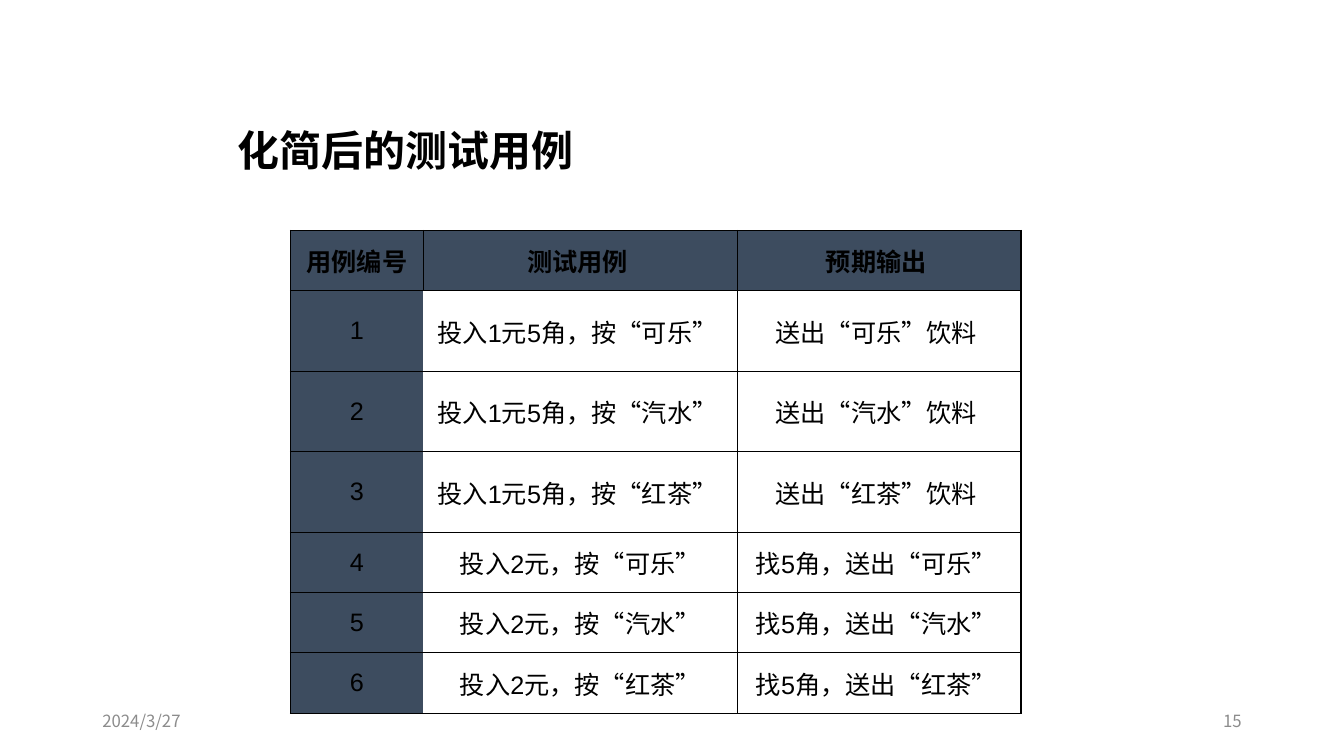
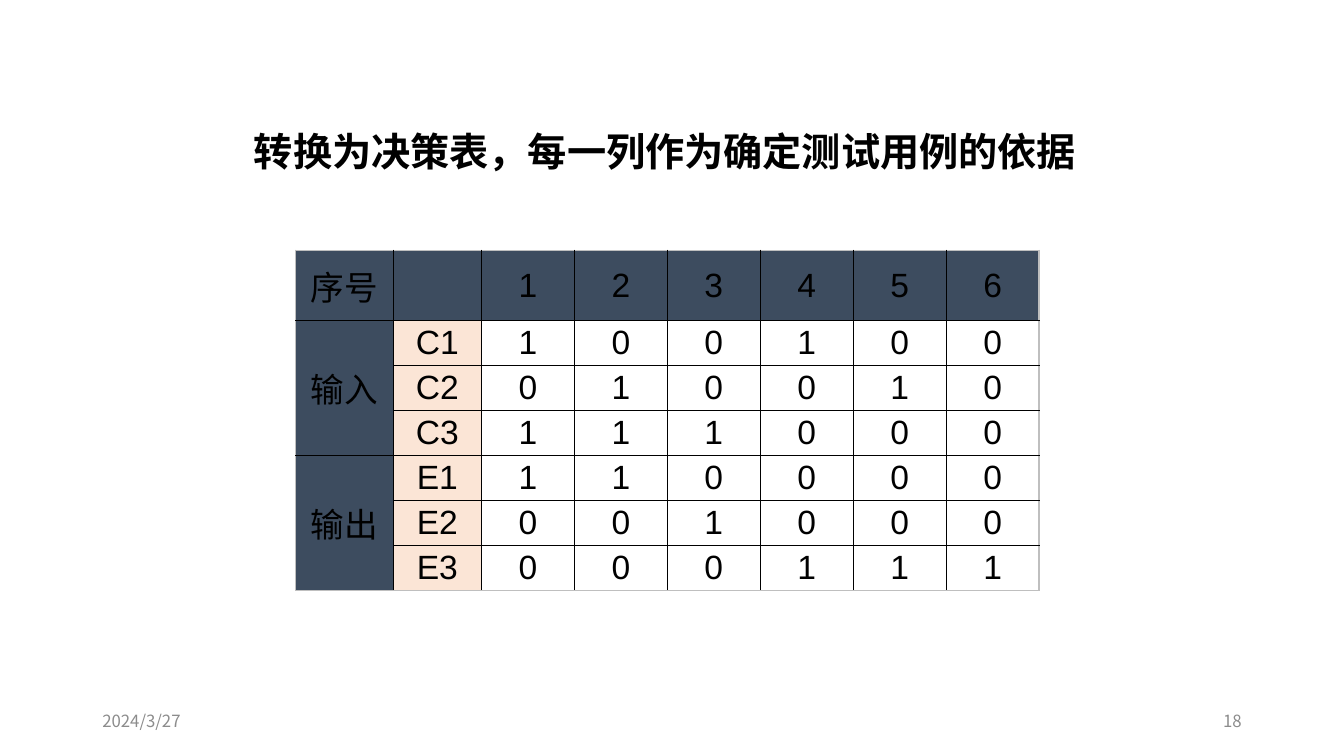
from lxml.etree import SubElement
from pptx import Presentation
from pptx.dml.color import RGBColor
from pptx.enum.lang import MSO_LANGUAGE_ID
from pptx.enum.text import MSO_ANCHOR, MSO_AUTO_SIZE, PP_ALIGN
from pptx.oxml.ns import qn
from pptx.util import Pt

LATIN, CJK = "Arial", "Noto Sans CJK SC"
BLACK, WHITE, SLATE, PEACH = "000000", "FFFFFF", "3D4C5F", "FBE5D6"
FOOTER_GREY, FRAME_GREY = "8C8C8C", "BFBFBF"
DATE = "2024/3/27"

CASES_TITLE = "化简后的测试用例"
CASES = [
    ("用例编号", "测试用例 ", "预期输出 "),
    ("1", "投入1元5角，按“可乐” ", "送出“可乐”饮料 "),
    ("2", "投入1元5角，按“汽水” ", "送出“汽水”饮料 "),
    ("3", "投入1元5角，按“红茶” ", "送出“红茶”饮料 "),
    ("4", "投入2元，按“可乐”", "找5角，送出“可乐” "),
    ("5", "投入2元，按“汽水”", "找5角，送出“汽水” "),
    ("6", "投入2元，按“红茶”", "找5角，送出“红茶” "),
]
ONE_LINE, TWO_LINES = 43.1, 57.5
CASE_HEIGHTS = [ONE_LINE] + [TWO_LINES] * 3 + [ONE_LINE] * 3

DECISION_TITLE = "转换为决策表，每一列作为确定测试用例的依据"
DECISIONS = [
    ("序号", "", *"123456"),
    ("输入", "C1", *"100100"),
    ("", "C2", *"010010"),
    ("", "C3", *"111000"),
    ("输出", "E1", *"110000"),
    ("", "E2", *"001000"),
    ("", "E3", *"000111"),
]
GROUP_ROWS = [(1, 3), (4, 6)]


def rgb(value):
    return RGBColor.from_string(value)


def add_text(p, text, size, font=CJK, colour=BLACK, bold=False):
    r = p.add_run()
    r.text = text
    f = r.font
    f.size, f.name, f.bold = Pt(size), font, bold
    f.color.rgb = rgb(colour)
    f.language_id = MSO_LANGUAGE_ID.SIMPLIFIED_CHINESE
    SubElement(r._r.get_or_add_rPr(), qn("a:ea"), typeface=CJK)


def add_slide(prs, title, box, size, anchor, number):
    s = prs.slides.add_slide(prs.slide_layouts[5])
    sp = s.shapes.title
    sp.left, sp.top, sp.width, sp.height = map(Pt, box)
    tf = sp.text_frame
    tf.auto_size, tf.word_wrap = MSO_AUTO_SIZE.NONE, True
    tf.vertical_anchor = anchor
    p = tf.paragraphs[0]
    p.alignment = PP_ALIGN.LEFT
    add_text(p, title, size, bold=True)

    for left, text, align in [(66, DATE, PP_ALIGN.LEFT),
                              (678, number, PP_ALIGN.RIGHT)]:
        tf = s.shapes.add_textbox(Pt(left), Pt(500.5), Pt(216), Pt(28.8)).text_frame
        tf.word_wrap, tf.vertical_anchor = True, MSO_ANCHOR.MIDDLE
        p = tf.paragraphs[0]
        p.alignment = align
        add_text(p, text, 12, colour=FOOTER_GREY)
    return s


def set_borders(cell, left, right, top, bottom):
    """Colour each edge; None leaves an edge without a line."""
    tc_pr = cell._tc.get_or_add_tcPr()
    for side, colour in zip("LRTB", (left, right, top, bottom)):
        ln = SubElement(tc_pr, qn("a:ln" + side), w=str(Pt(1)))
        if colour:
            fill = SubElement(ln, qn("a:solidFill"))
            SubElement(fill, qn("a:srgbClr"), val=colour)
        else:
            SubElement(ln, qn("a:noFill"))


def add_table(s, rows, left, top, widths, heights, size, fill_at, borders_at,
              margin=2.7, bold_header=False, hanging=0):
    """fill_at and borders_at take (row, column) and give the cell's colours."""
    table = s.shapes.add_table(len(rows), len(widths), Pt(left), Pt(top),
                               Pt(sum(widths)), Pt(sum(heights))).table
    table.first_row = table.horz_banding = False
    for column, width in zip(table.columns, widths):
        column.width = Pt(width)
    for row, height in zip(table.rows, heights):
        row.height = Pt(height)
    for i, row in enumerate(rows):
        for j, text in enumerate(row):
            cell = table.cell(i, j)
            cell.margin_left = cell.margin_right = Pt(5.4)
            cell.margin_top = cell.margin_bottom = Pt(margin)
            cell.vertical_anchor = MSO_ANCHOR.MIDDLE
            set_borders(cell, *borders_at(i, j))
            cell.fill.solid()
            cell.fill.fore_color.rgb = rgb(fill_at(i, j))
            p = cell.text_frame.paragraphs[0]
            p.alignment = PP_ALIGN.CENTER
            if hanging:
                p_pr = p._p.get_or_add_pPr()
                p_pr.set("marL", str(Pt(hanging)))
                p_pr.set("indent", str(-Pt(hanging)))
            if text:
                add_text(p, text, size, LATIN, bold=bold_header and i == 0)
            else:
                p.font.size = Pt(size / 2)
    return table


def case_fill(i, j):
    return SLATE if i == 0 or j == 0 else WHITE


def case_borders(i, j):
    """No line between the number column and the cases."""
    return (None if i and j == 1 else BLACK,
            None if i and j == 0 else BLACK, BLACK, BLACK)


def decision_fill(i, j):
    return SLATE if i == 0 or j == 0 else PEACH if j == 1 else WHITE


def decision_borders(i, j):
    """Grey frame around a black grid; a merged cell takes its first row's edges."""
    first, last = GROUP_ROWS[-1]
    at_bottom = i == last or (i == first and j == 0)
    outer = (j == 0, j == len(DECISIONS[0]) - 1, i == 0, at_bottom)
    return [FRAME_GREY if edge else BLACK for edge in outer]


def main():
    prs = Presentation()
    prs.slide_width, prs.slide_height = Pt(960), Pt(540)

    s = add_slide(prs, CASES_TITLE, (162.7, 68.4, 612, 59.8), 30,
                  MSO_ANCHOR.BOTTOM, "15")
    add_table(s, CASES, 207.5, 164.6, [94.8, 224.5, 202.5], CASE_HEIGHTS,
              18, case_fill, case_borders, bold_header=True, hanging=27)

    s = add_slide(prs, DECISION_TITLE, (174.2, 56.2, 612, 103), 28,
                  MSO_ANCHOR.MIDDLE, "18")
    table = add_table(s, DECISIONS, 211.2, 178.8, [69.8, 62.9] + [66.4] * 6,
                      [50.2] + [32.14] * 6, 24, decision_fill, decision_borders,
                      margin=1.5)
    for first, last in GROUP_ROWS:
        table.cell(first, 0).merge(table.cell(last, 0))

    prs.save("out.pptx")


if __name__ == "__main__":
    main()
